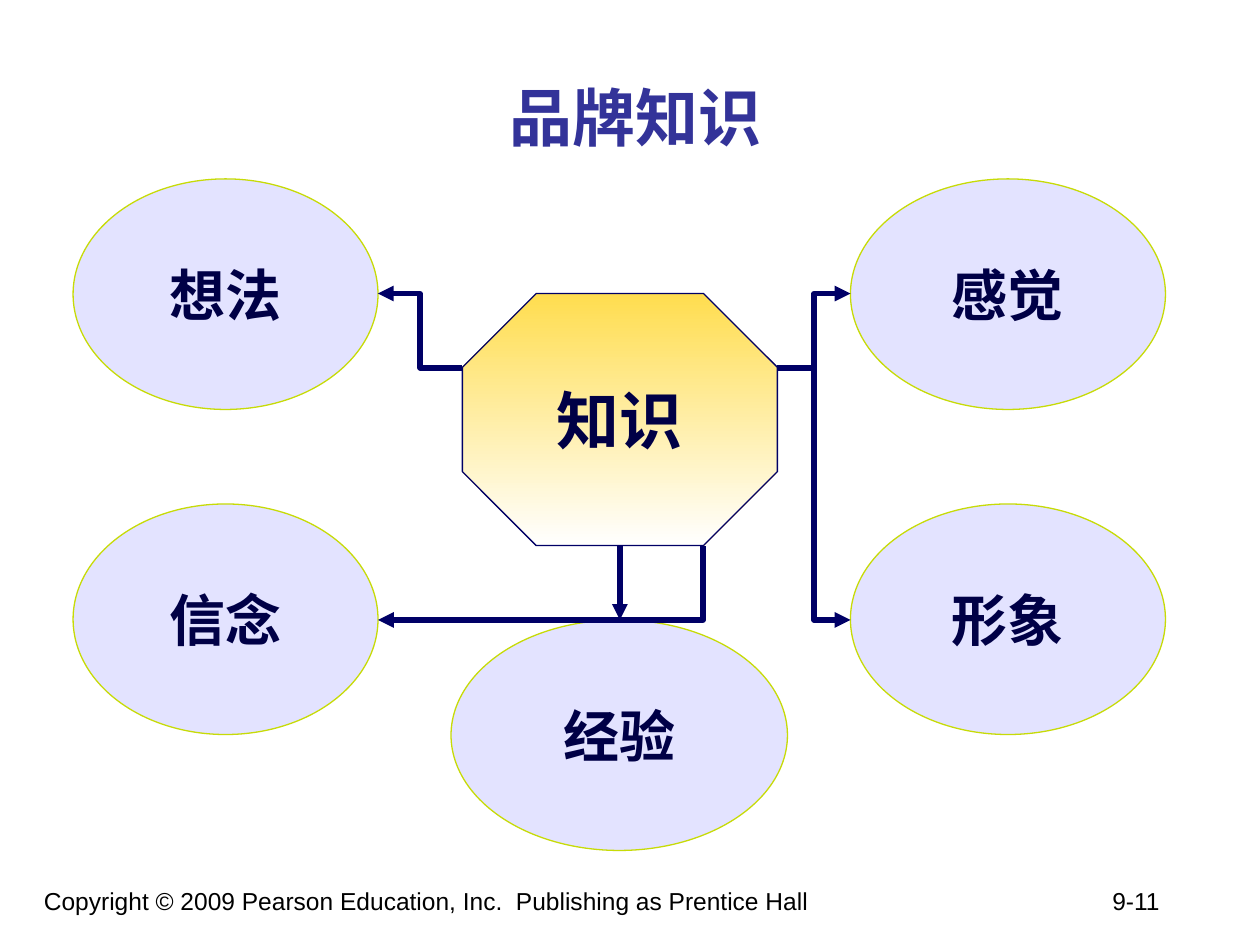
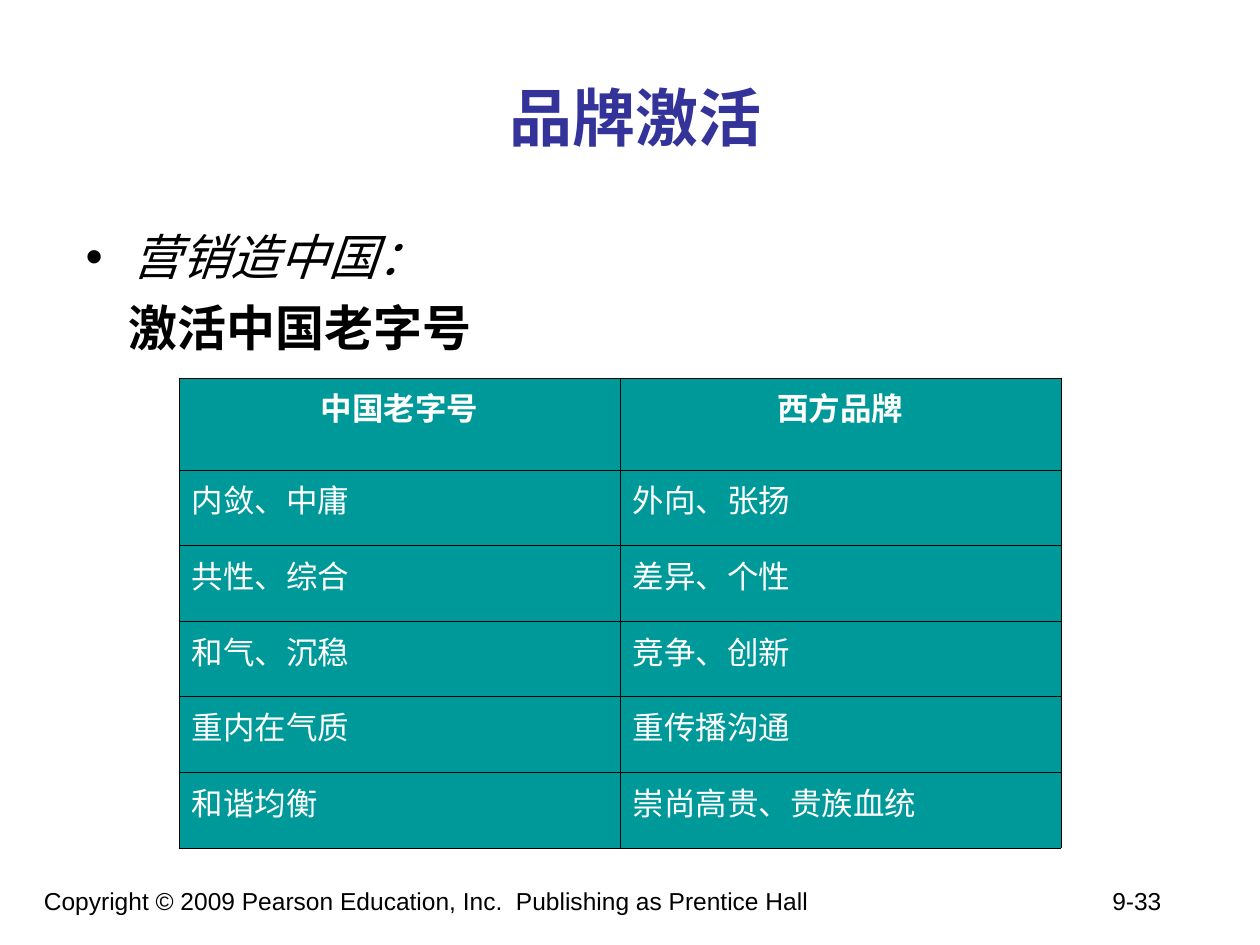
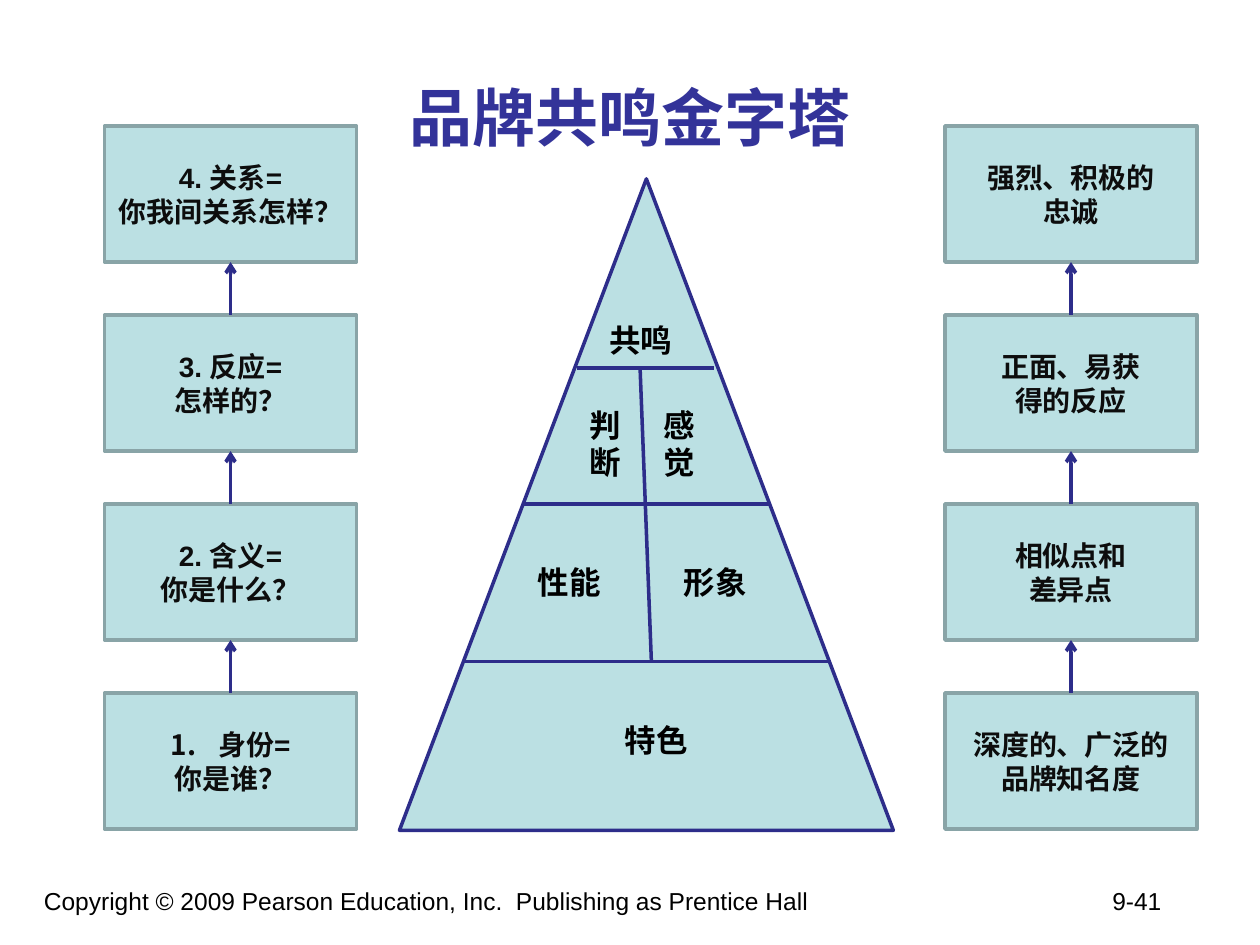
from pptx import Presentation
from pptx.dml.color import RGBColor
from pptx.enum.shapes import MSO_CONNECTOR as LINE, MSO_SHAPE as SHAPE
from pptx.enum.text import MSO_ANCHOR as ANCHOR, PP_ALIGN as ALIGN
from pptx.oxml.ns import qn
from pptx.util import Inches, Pt
from lxml.etree import SubElement

TITLE_BLUE = RGBColor(0x33, 0x33, 0x99)
BLACK = RGBColor(0, 0, 0)
WHITE = RGBColor(0xFF, 0xFF, 0xFF)
NAVY = RGBColor(0, 0, 0x66)
DARK_NAVY = RGBColor(0, 0, 0x46)
LAVENDER = RGBColor(0xE3, 0xE3, 0xFF)
LIME = RGBColor(0xC7, 0xDB, 0x07)
YELLOW = RGBColor(0xFF, 0xDD, 0x4F)
TEAL = RGBColor(0, 0x99, 0x99)
PALE_TEAL = RGBColor(0xBB, 0xE0, 0xE3)
GREY_TEAL = RGBColor(0x89, 0xA4, 0xA7)
INDIGO = RGBColor(0x2D, 0x2D, 0x8A)
NEAR_BLACK = RGBColor(0x0D, 0x0D, 0x0D)

LATIN, CJK, SERIF = "Arial", "Noto Sans CJK SC", "Times New Roman"
COPYRIGHT = "Copyright © 2009 Pearson Education, Inc.  Publishing as Prentice Hall"
TITLE_ONLY, TITLE_AND_BODY = 5, 1


def inches(*values):
    return [Inches(v) for v in values]


def set_list(p, tag, left, hang, **attrs):
    """Give a paragraph its indents and a bullet element such as a:buNone."""
    pPr = p._p.get_or_add_pPr()
    pPr.set("marL", str(Inches(left)))
    pPr.set("indent", str(-Inches(hang)))
    SubElement(pPr, qn(tag), **attrs)


class Deck:
    def __init__(self):
        self.prs = Presentation()
        self.prs.slide_width, self.prs.slide_height = inches(10, 7.5)
        self.s = None

    def slide(self, title, number, layout=TITLE_ONLY, title_width=8.42):
        self.s = self.prs.slides.add_slide(self.prs.slide_layouts[layout])
        self.place(self.s.shapes.title, 0.83, 0.3, title_width, 1.25)
        self.add_lines(self.s.shapes.title.text_frame, [title], color=TITLE_BLUE,
                       align=ALIGN.CENTER, name=CJK, size=Pt(36), bold=True)
        p = self.text(0.25, 6.98, 9.33, 0.52, f"{COPYRIGHT}\t{number}", size=Pt(14)).paragraphs[0]
        tabs = SubElement(p._p.get_or_add_pPr(), qn("a:tabLst"))
        SubElement(tabs, qn("a:tab"), pos=str(Inches(8.48)), algn="l")

    def place(self, sp, *box):
        sp.left, sp.top, sp.width, sp.height = inches(*box)

    def add_lines(self, tf, lines, color=BLACK, align=ALIGN.LEFT, name=LATIN, **fmt):
        for i, line in enumerate(lines):
            p = tf.add_paragraph() if i else tf.paragraphs[0]
            p.alignment = align
            r = p.add_run()
            r.text = line
            r.font.color.rgb = color
            for key, value in {"name": name, **fmt}.items():
                setattr(r.font, key, value)
            SubElement(r._r.get_or_add_rPr(), qn("a:ea"), typeface=CJK)
        return tf

    def text(self, x, y, w, h, line, **fmt):
        tf = self.s.shapes.add_textbox(*inches(x, y, w, h)).text_frame
        tf.word_wrap = True
        return self.add_lines(tf, [line], **fmt)

    def body(self, *box):
        sp = self.s.placeholders[1]
        self.place(sp, *box)
        return sp.text_frame

    def shape(self, kind, box, fill, line, weight, lines=(), wrap=True, **fmt):
        """Draw a preset shape; two fill colours make a top-down gradient."""
        sp = self.s.shapes.add_shape(kind, *inches(*box))
        sp.shadow.inherit = False
        if isinstance(fill, list):
            sp.fill.gradient()
            sp.fill.gradient_angle = 270
            for stop, color, position in zip(sp.fill.gradient_stops, fill, (0, 1)):
                stop.color.rgb = color
                stop.position = position
        else:
            sp.fill.solid()
            sp.fill.fore_color.rgb = fill
        sp.line.color.rgb = line
        sp.line.width = Pt(weight)
        tf = sp.text_frame
        tf.word_wrap = wrap
        tf.vertical_anchor = ANCHOR.MIDDLE
        return self.add_lines(tf, lines, align=ALIGN.CENTER, **fmt)

    def line(self, start, end, color, weight, kind=LINE.STRAIGHT, arrow=None, arrow_end="a:tailEnd"):
        c = self.s.shapes.add_connector(kind, *inches(*start, *end))
        c.line.color.rgb = color
        c.line.width = Pt(weight)
        spPr = c._element.spPr
        if arrow:
            SubElement(spPr.get_or_add_ln(), qn(arrow_end), type=arrow)
        SubElement(spPr, qn("a:effectLst"))
        return c

    def table(self, box, rows, heights, fill, border, **fmt):
        t = self.s.shapes.add_table(len(rows), len(rows[0]), *inches(*box)).table
        t.first_row = t.horz_banding = False
        for i, (row, height) in enumerate(zip(rows, heights)):
            t.rows[i].height = Inches(height)
            for j, value in enumerate(row):
                cell = t.cell(i, j)
                for side in "LRTB":
                    ln = SubElement(cell._tc.get_or_add_tcPr(), qn(f"a:ln{side}"), w=str(Pt(0.45)))
                    SubElement(SubElement(ln, qn("a:solidFill")), qn("a:srgbClr"), val=str(border))
                cell.fill.solid()
                cell.fill.fore_color.rgb = fill
                self.add_lines(cell.text_frame, [value], bold=i == 0,
                               align=ALIGN.LEFT if i else ALIGN.CENTER, **fmt)


def knowledge_slide(d):
    d.slide("品牌知识", "9-11")
    label = {"color": DARK_NAVY, "bold": True, "wrap": False}
    d.shape(SHAPE.OCTAGON, (3.67, 2.33, 2.5, 2), [YELLOW, WHITE], NAVY, 0.75,
            ["知识"], size=Pt(36), **label)
    for name, x, y, w in [("想法", 0.58, 1.42, 2.42), ("经验", 3.58, 4.92, 2.67),
                          ("信念", 0.58, 4, 2.42), ("形象", 6.75, 4, 2.5),
                          ("感觉", 6.75, 1.42, 2.5)]:
        d.shape(SHAPE.OVAL, (x, y, w, 1.83), LAVENDER, LIME, 0.75, [name], size=Pt(32), **label)

    arrow = {"color": NAVY, "weight": 3, "arrow": "triangle"}
    d.line((4.92, 4.33), (4.92, 4.92), **arrow)
    for start, end in [((6.17, 2.92), (6.75, 2.33)), ((6.17, 2.92), (6.75, 4.92)),
                       ((3.67, 2.92), (3, 2.33))]:
        d.line(start, end, kind=LINE.ELBOW, **arrow)
    one_bend = d.line((3, 4.92), (5.58, 4.33), kind=LINE.ELBOW, arrow_end="a:headEnd", **arrow)
    one_bend._element.spPr.find(qn("a:prstGeom")).set("prst", "bentConnector2")


def revival_slide(d):
    d.slide("品牌激活", "9-33", TITLE_AND_BODY)
    tf = d.body(0.58, 1.75, 9, 5.17)
    d.add_lines(tf, ["营销造中国：", "激活中国老字号"], size=Pt(28))
    lead, topic = tf.paragraphs
    lead.runs[0].font.italic = True
    topic.runs[0].font.bold = True
    lead.space_before = Pt(0)
    topic.space_before = lead.space_after = topic.space_after = Pt(3.5)
    set_list(topic, "a:buNone", 0.34, 0)
    rows = [("中国老字号", "西方品牌"), ("内敛、中庸", "外向、张扬"),
            ("共性、综合", "差异、个性"), ("和气、沉稳", "竞争、创新"),
            ("重内在气质", "重传播沟通"), ("和谐均衡", "崇尚高贵、贵族血统")]
    d.table((1.42, 3, 7, 3.73), rows, [0.73] + [0.6] * 5, TEAL, BLACK,
            color=WHITE, name=SERIF, size=Pt(18))


def pyramid_slide(d):
    d.slide("品牌共鸣金字塔", "9-41", title_width=8.34)
    d.shape(SHAPE.ISOSCELES_TRIANGLE, (3.17, 1.42, 3.92, 5.17), PALE_TEAL, INDIGO, 2)
    for start, end in [((4.58, 2.92), (5.67, 2.92)), ((4.14, 4), (6.1, 4)),
                       ((3.67, 5.25), (6.58, 5.25)), ((5.08, 2.92), (5.17, 5.25))]:
        d.line(start, end, INDIGO, 2)
    for name, x, y, w, h, align in [
            ("共鸣", 4.67, 2.5, 0.83, 0.4, ALIGN.CENTER),
            ("判断", 4.58, 3.17, 0.42, 0.7, ALIGN.LEFT),
            ("感觉", 5.17, 3.17, 0.42, 0.7, ALIGN.LEFT),
            ("性能", 4.17, 4.42, 1, 0.4, ALIGN.LEFT),
            ("形象", 5.33, 4.42, 0.92, 0.4, ALIGN.LEFT),
            ("特色", 4.42, 5.67, 1.58, 0.4, ALIGN.CENTER)]:
        d.text(x, y, w, h, name, align=align, size=Pt(18), bold=True)

    questions = [("4. 关系=", "你我间关系怎样？"), ("3. 反应=", "怎样的？"),
                 ("2. 含义=", "你是什么？"), ("身份=", "你是谁？")]
    goals = [("强烈、积极的", "忠诚"), ("正面、易获", "得的反应"),
             ("相似点和", "差异点"), ("深度的、广泛的", "品牌知名度")]
    width, height, pitch = 2, 1.08, 1.5
    for x, steps in [(7.5, goals), (0.83, questions)]:
        for i, lines in enumerate(steps):
            y = 1 + i * pitch
            tf = d.shape(SHAPE.RECTANGLE, (x, y, width, height), PALE_TEAL, GREY_TEAL, 2,
                         lines, color=NEAR_BLACK, size=Pt(16), bold=True)
            if i:
                middle = x + width / 2
                d.line((middle, y), (middle, y - pitch + height), INDIGO, 2, arrow="arrow")
    set_list(tf.paragraphs[0], "a:buAutoNum", 0.38, 0.38, type="arabicPeriod")


def main():
    d = Deck()
    knowledge_slide(d)
    revival_slide(d)
    pyramid_slide(d)
    d.prs.save("out.pptx")


if __name__ == "__main__":
    main()
